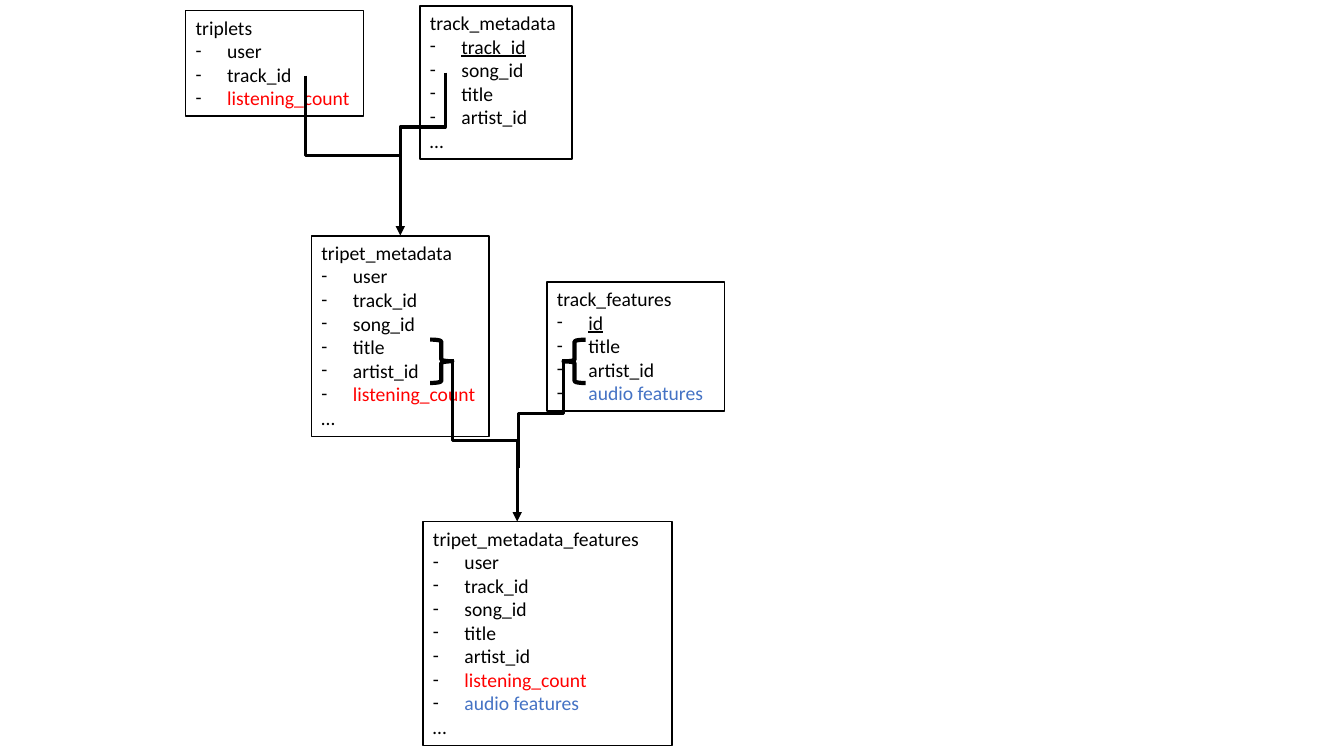
import lxml.etree
import pptx
import pptx.dml.color
import pptx.enum.shapes
import pptx.enum.text
import pptx.oxml.ns
import pptx.util

Pt = pptx.util.Pt
qn = pptx.oxml.ns.qn
BLACK = pptx.dml.color.RGBColor(0x00, 0x00, 0x00)
WHITE = pptx.dml.color.RGBColor(0xFF, 0xFF, 0xFF)
RED = pptx.dml.color.RGBColor(0xFF, 0x00, 0x00)
BLUE = pptx.dml.color.RGBColor(0x44, 0x72, 0xC4)

FONT = "Calibri"
TINTS = {"listening_count": RED, "audio features": BLUE}
ROW = 17
PAD = 3.6
HANG = 22.5

TABLES = [
    ("triplets", 132.7, 7.6, 127, ["user", "track_id", "listening_count"], None, False),
    ("track_metadata", 300, 4.3, 108.7,
     ["track_id", "song_id", "title", "artist_id"], "track_id", True),
    ("track_features", 390.7, 201.4, 127,
     ["id", "title", "artist_id", "audio features"], "id", False),
    ("tripet_metadata", 222.5, 168.5, 127,
     ["user", "track_id", "song_id", "title", "artist_id", "listening_count"], None, True),
    ("tripet_metadata_features", 302.2, 372.5, 177.8,
     ["user", "track_id", "song_id", "title", "artist_id", "listening_count",
      "audio features"], None, True),
]

JOINS = [
    (217.9, 54, 285.9, 168.2, True),
    (318.2, 51.8, 285.8, 129.6, False),
    (323.3, 256.3, 369.5, 372.5, True),
    (402.5, 256.3, 370.1, 334.1, False),
]


def add_run(para, text, under=False):
    run = para.add_run()
    run.text = text
    run.font.name = FONT
    run.font.size = Pt(14)
    run.font.underline = under
    run.font.color.rgb = TINTS.get(text, BLACK)


def add_dash(para):
    props = para._p.get_or_add_pPr()
    props.set("marL", str(Pt(HANG)))
    props.set("indent", str(-Pt(HANG)))
    tint = lxml.etree.SubElement(props, qn("a:buClr"))
    lxml.etree.SubElement(tint, qn("a:srgbClr")).set("val", str(BLACK))
    lxml.etree.SubElement(props, qn("a:buFont")).set("typeface", FONT)
    lxml.etree.SubElement(props, qn("a:buChar")).set("char", "-")


def add_box(slide, name, left, top, width, fields, key, more):
    lines = [name, *fields] + ["…"] * more
    box = slide.shapes.add_shape(
        pptx.enum.shapes.MSO_SHAPE.RECTANGLE,
        Pt(left), Pt(top), Pt(width), Pt(ROW * len(lines) + 2 * PAD))
    box.shadow.inherit = False
    box.fill.solid()
    box.fill.fore_color.rgb = WHITE
    box.line.color.rgb = BLACK
    box.line.width = Pt(1)
    frame = box.text_frame
    frame.word_wrap = True
    frame.auto_size = pptx.enum.text.MSO_AUTO_SIZE.SHAPE_TO_FIT_TEXT
    frame.vertical_anchor = pptx.enum.text.MSO_ANCHOR.TOP
    for row, text in enumerate(lines):
        para = frame.add_paragraph() if row else frame.paragraphs[0]
        para.alignment = pptx.enum.text.PP_ALIGN.LEFT
        if 0 < row <= len(fields):
            add_dash(para)
        add_run(para, text, text == key)


def add_join(slide, x1, y1, x2, y2, arrow):
    mid_x, mid_y = (x1 + x2) / 2, (y1 + y2) / 2
    right = x2 > x1
    half = (y2 - y1) / 2 * (1 if right else -1)
    rise = abs(x2 - x1) / 2
    join = slide.shapes.add_connector(
        pptx.enum.shapes.MSO_CONNECTOR.ELBOW,
        Pt(mid_x + half), Pt(mid_y - rise), Pt(mid_x - half), Pt(mid_y + rise))
    join.line.color.rgb = BLACK
    join.line.width = Pt(2.25)
    props = join._element.spPr
    props.find(qn("a:xfrm")).set("rot", str((270 if right else 90) * 60000))
    if arrow:
        tail = lxml.etree.SubElement(props.find(qn("a:ln")), qn("a:tailEnd"))
        tail.set("type", "triangle")
    lxml.etree.SubElement(props, qn("a:effectLst"))


def add_brace(slide, left, turn):
    brace = slide.shapes.add_shape(
        pptx.enum.shapes.MSO_SHAPE.RIGHT_BRACE,
        Pt(left), Pt(242.6), Pt(15.8), Pt(31))
    brace.rotation = turn
    brace.shadow.inherit = False
    brace.fill.background()
    brace.line.color.rgb = BLACK
    brace.line.width = Pt(3)


def main():
    deck = pptx.Presentation()
    deck.slide_width = Pt(960)
    deck.slide_height = Pt(540)
    slide = deck.slides.add_slide(deck.slide_layouts[6])
    for table in TABLES:
        add_box(slide, *table)
    for join in JOINS:
        add_join(slide, *join)
    add_brace(slide, 307.3, 0)
    add_brace(slide, 402.5, 180)
    deck.save("out.pptx")


if __name__ == "__main__":
    main()
